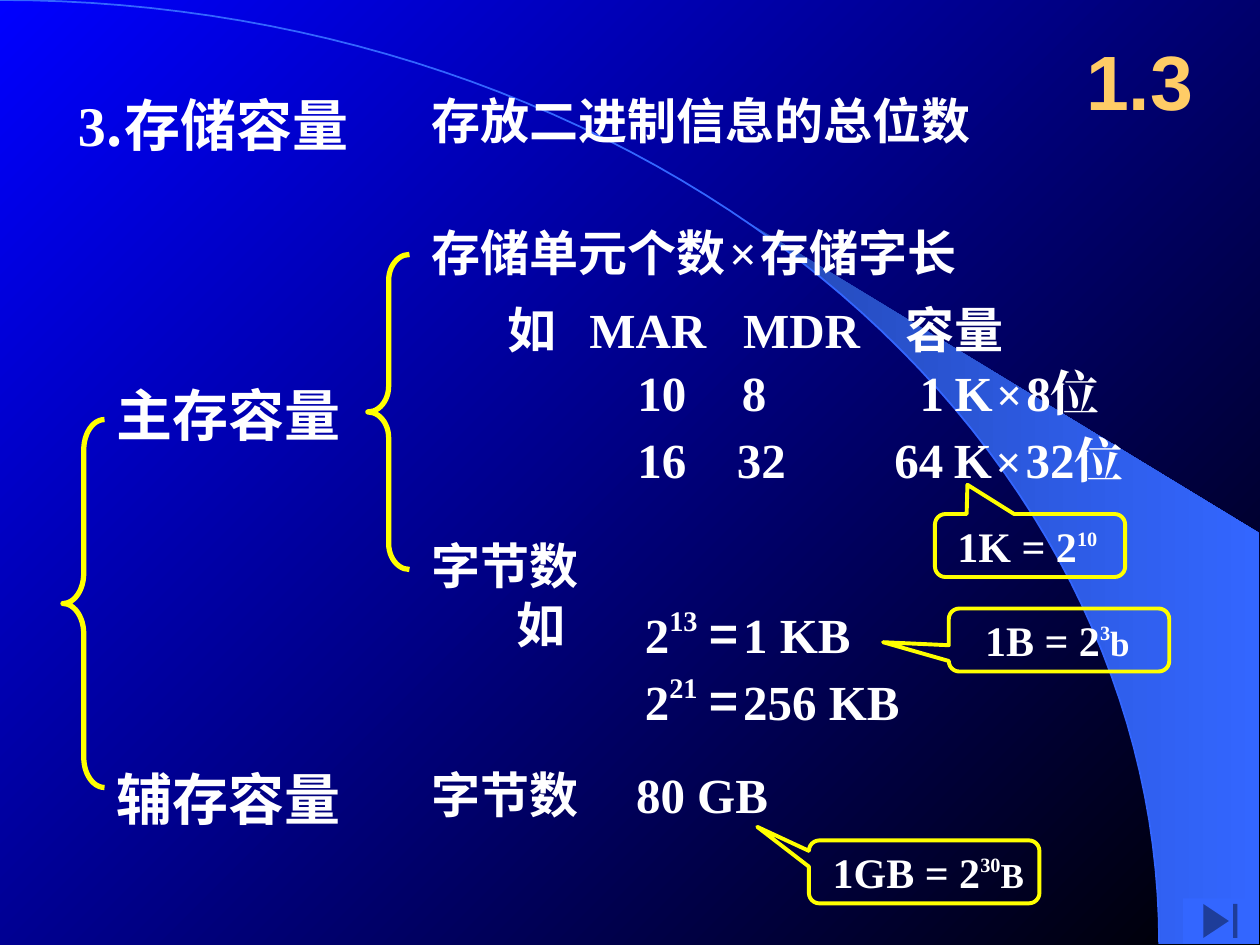
import math
from dataclasses import dataclass
from typing import Optional

from lxml import etree
from pptx import Presentation
from pptx.dml.color import RGBColor
from pptx.enum.shapes import MSO_SHAPE
from pptx.enum.text import MSO_ANCHOR, MSO_AUTO_SIZE, PP_ALIGN
from pptx.oxml.ns import qn
from pptx.util import Inches, Pt

BRACE = MSO_SHAPE.LEFT_BRACE
CALLOUT = MSO_SHAPE.ROUNDED_RECTANGULAR_CALLOUT
END_BUTTON = MSO_SHAPE.ACTION_BUTTON_END
FIT_SHAPE = MSO_AUTO_SIZE.SHAPE_TO_FIT_TEXT
TOP, MIDDLE = MSO_ANCHOR.TOP, MSO_ANCHOR.MIDDLE
CENTER = PP_ALIGN.CENTER

SERIF, CJK, SANS = "Times New Roman", "Noto Sans CJK SC", "Arial"
WHITE, YELLOW, GOLD, BLUE = "FFFFFF", "FFFF00", "FFCC66", "3366FF"
BOX_HEIGHTS = {24: 0.5, 28: 0.57, 32: 0.63}
ARC_WIDTH, ARC_HEIGHT = 9.2, 7.49


@dataclass
class Run:
    text: str
    size: Optional[float] = None
    font: Optional[str] = None
    raised: bool = False


@dataclass
class Brace:
    left: float
    top: float
    height: float
    curl: float


@dataclass
class Callout:
    left: float
    top: float
    width: float
    tip: tuple
    text_left: float
    text_width: float
    runs: list


def rgb(value: str) -> RGBColor:
    return RGBColor.from_string(value)


def write_runs(paragraph, runs, *, size=28, font=CJK, color=WHITE, tabs=()) -> None:
    """Fill a paragraph with bold runs; strings take the paragraph's own format."""
    if tabs:
        tab_list = etree.SubElement(paragraph._p.get_or_add_pPr(), qn("a:tabLst"))
        for position in tabs:
            etree.SubElement(tab_list, qn("a:tab"), pos=str(Inches(position)), algn="l")
    for part in runs:
        part = Run(part) if isinstance(part, str) else part
        run = paragraph.add_run()
        run.text = part.text
        run.font.size = Pt(part.size or size)
        run.font.bold = True
        run.font.name = part.font or font
        run.font.color.rgb = rgb(color)
        properties = run._r.get_or_add_rPr()
        etree.SubElement(properties, qn("a:ea"), typeface=part.font or font)
        if part.raised:
            properties.set("baseline", "45000")


def add_text(slide, left: float, top: float, width: float, *runs, size=28, left_inset=0.1, **style):
    box = slide.shapes.add_textbox(
        Inches(left), Inches(top), Inches(width), Inches(BOX_HEIGHTS[size]))
    frame = box.text_frame
    frame.word_wrap = True
    frame.auto_size = FIT_SHAPE
    frame.vertical_anchor = TOP
    frame.margin_left = Inches(left_inset)
    write_runs(frame.paragraphs[0], runs, size=size, **style)


def add_outline(slide, kind, left, top, width, height, adjustments, line_width):
    shape = slide.shapes.add_shape(
        kind, Inches(left), Inches(top), Inches(width), Inches(height))
    shape.shadow.inherit = False
    shape.fill.background()
    shape.line.color.rgb = rgb(YELLOW)
    shape.line.width = Pt(line_width)
    for index, value in enumerate(adjustments):
        shape.adjustments[index] = value


def add_callout(slide, callout: Callout) -> None:
    add_outline(slide, CALLOUT, callout.left, callout.top, callout.width, 0.5,
                (*callout.tip, 0.167), 2.25)
    add_text(slide, callout.text_left, callout.top, callout.text_width, *callout.runs,
             size=24, font=SERIF)


def set_gradient(fill, start: str, end: str, angle: float) -> None:
    fill.gradient()
    fill.gradient_angle = angle
    for stop, color, position in zip(fill.gradient_stops, (start, end), (0, 1)):
        stop.color.rgb = rgb(color)
        stop.position = position


def arc_points(start: float, end: float, steps: int = 60) -> list:
    """Points of the background ellipse, in inches, between two angles in degrees."""
    angles = [math.radians(start + (end - start) * i / steps) for i in range(steps + 1)]
    return [(ARC_WIDTH * math.sin(a), ARC_HEIGHT * (1 - math.cos(a))) for a in angles]


def add_outline_path(slide, points, closed: bool):
    first, *rest = [(Inches(x), Inches(y)) for x, y in points]
    builder = slide.shapes.build_freeform(*first)
    builder.add_line_segments(rest, close=closed)
    shape = builder.convert_to_shape()
    shape.shadow.inherit = False
    return shape


def add_background(slide) -> None:
    set_gradient(slide.background.fill, "0000FF", "000000", 315)
    corner = [(9.99, 7.49), (9.99, 4.23)]
    wedge = add_outline_path(slide, corner + arc_points(39.8, 90), closed=True)
    set_gradient(wedge.fill, "2449B6", BLUE, 0)
    wedge.line.fill.background()
    arc = add_outline_path(slide, arc_points(0, 90), closed=False)
    arc.fill.background()
    arc.line.color.rgb = rgb(BLUE)
    arc.line.width = Pt(1)


def add_section_number(slide) -> None:
    title = slide.shapes.title
    title.left, title.top = Inches(8.42), Inches(0.17)
    title.width, title.height = Inches(1.25), Inches(0.92)
    title.text_frame.vertical_anchor = MIDDLE
    paragraph = title.text_frame.paragraphs[0]
    paragraph.alignment = CENTER
    write_runs(paragraph, ["1.3"], size=44, font=SANS, color=GOLD)


def add_power(slide, top: float, exponent: str, amount: str) -> None:
    add_text(slide, 5.02, top, 2.84, "2", Run(exponent, raised=True), " ", Run("=", font=CJK),
             Run(" ", size=10), f"{amount} KB", font=SERIF)


def add_capacity(slide, left: float, top: float, words: str, bits: str) -> None:
    gap = Run(" ", size=9)
    add_text(slide, left, top, 2.33, words, Run(" ", size=24), "K", gap, Run("×", size=26),
             gap, f"{bits}位", font=SERIF)


BRACES = [Brace(0.5, 3.33, 2.92, 0.729), Brace(2.92, 2.02, 2.5, 0.625)]
CALLOUTS = [
    Callout(7.42, 4.08, 1.51, (-0.329, -0.965), 7.5, 1.99,
            ["1K = 2", Run("10", 20, raised=True)]),
    Callout(7.53, 4.83, 1.75, (-0.798, 0.035), 7.72, 2.2,
            ["1B = 2", Run("3", 20, raised=True), Run("b", 20)]),
    Callout(6.42, 6.67, 1.83, (-0.724, -0.715), 6.51, 2.41,
            ["1GB = 2", Run("30", 20, raised=True), Run("B", 20)]),
]


def main() -> None:
    presentation = Presentation()
    presentation.slide_width, presentation.slide_height = Inches(10), Inches(7.5)
    slide = presentation.slides.add_slide(presentation.slide_layouts[5])
    add_background(slide)
    add_section_number(slide)

    # Heading and definition
    add_text(slide, 0.52, 0.67, 3.48, Run("3", font=SERIF), ".存储容量", size=32)
    add_text(slide, 3.33, 0.67, 5.58, "存放二进制信息的总位数")

    # Two kinds of storage and their braces
    add_text(slide, 0.83, 2.97, 2.67, "主存容量", size=32)
    add_text(slide, 0.83, 6.02, 2.51, "辅存容量", size=32)
    for brace in BRACES:
        add_outline(slide, BRACE, brace.left, brace.top, 0.33, brace.height,
                    (brace.curl, 0.5), 3)

    # Main memory counted in cells
    gap = Run(" ", size=9)
    add_text(slide, 3.33, 1.72, 5.58, "存储单元个数", gap, Run("×", font=SERIF), gap, "存储字长")
    add_text(slide, 3.93, 2.33, 5.74, "如", Run("\tMAR\tMDR\t", font=SERIF), "容量",
             tabs=(0.65, 1.87, 3.16))
    add_text(slide, 4.67, 2.83, 2.5, "\t10\t8", font=SERIF, tabs=(0.29, 1.12))
    add_text(slide, 4.67, 3.36, 2.5, "\t16\t32", font=SERIF, tabs=(0.29, 1.08))
    add_capacity(slide, 7.2, 2.83, "1", "8")
    add_capacity(slide, 7, 3.36, "64", "32")

    # Main memory counted in bytes
    add_text(slide, 3.33, 4.2, 2.3, "字节数")
    add_text(slide, 4, 4.67, 0.83, "如")
    add_power(slide, 4.74, "13", "1")
    add_power(slide, 5.27, "21", "256")

    # Secondary storage
    add_text(slide, 3.33, 6.02, 3.75, "字节数", Run("\t80 GB", font=SERIF), tabs=(1.62,))

    # Unit reminders
    for callout in CALLOUTS:
        add_callout(slide, callout)

    # Button in the corner
    button = slide.shapes.add_shape(
        END_BUTTON, Inches(9.39), Inches(7.13), Inches(0.59), Inches(0.36))
    button.shadow.inherit = False
    button.fill.solid()
    button.fill.fore_color.rgb = rgb(BLUE)
    button.line.fill.background()

    presentation.save("out.pptx")


if __name__ == "__main__":
    main()
